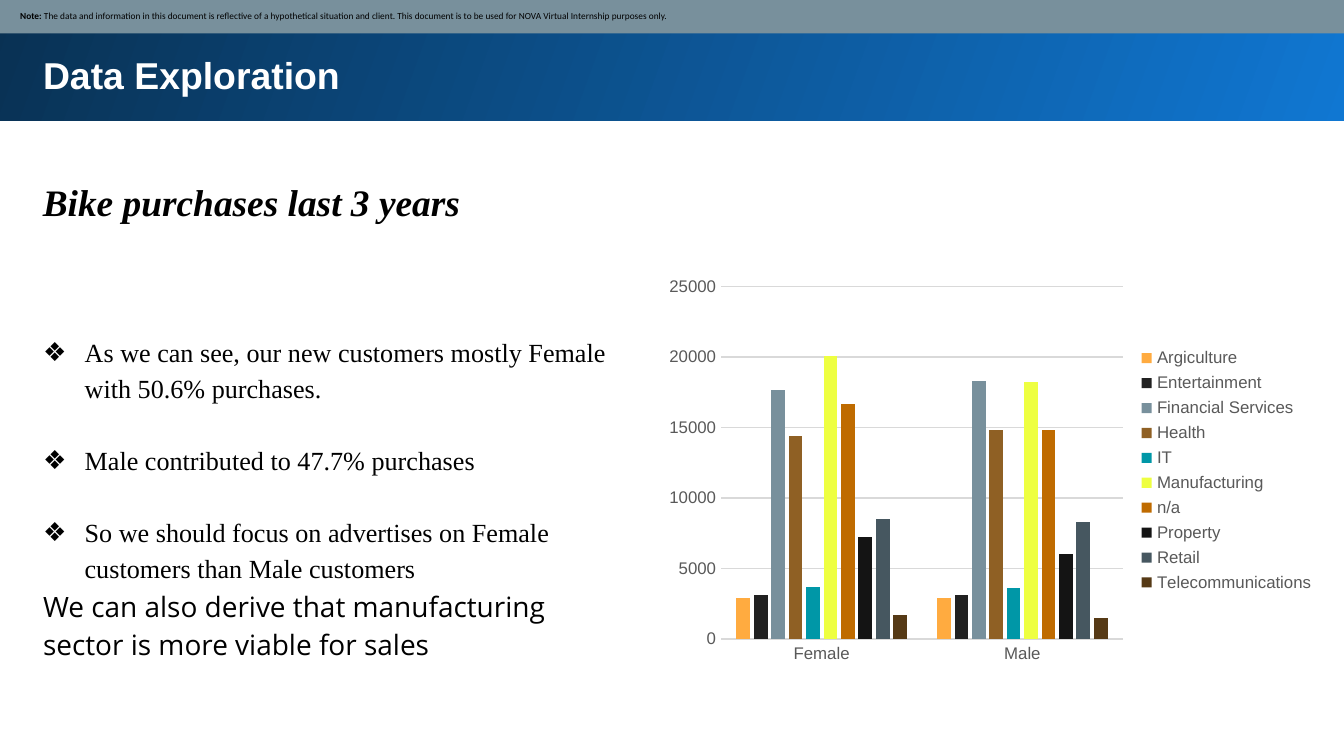
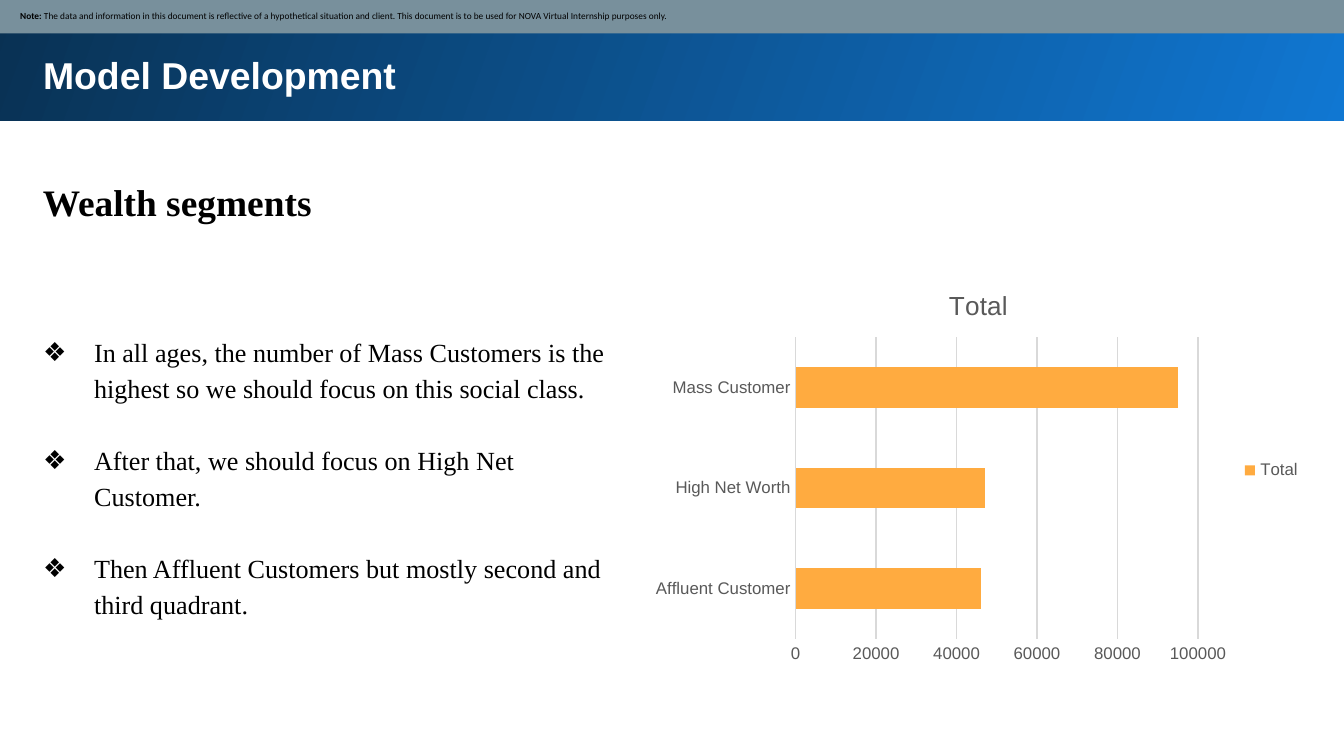
from lxml.etree import SubElement
from pptx import Presentation
from pptx.chart.data import CategoryChartData
from pptx.dml.color import RGBColor
from pptx.enum.chart import XL_CHART_TYPE as ChartType, XL_LEGEND_POSITION as LegendPosition, XL_TICK_MARK as TickMark
from pptx.enum.shapes import MSO_SHAPE as Preset
from pptx.enum.text import MSO_ANCHOR as Anchor, MSO_AUTO_SIZE as AutoSize, PP_ALIGN as Align
from pptx.oxml.ns import qn
from pptx.util import Inches, Pt

COLORS = {
    "white": "FFFFFF", "black": "000000", "note": "78909C",
    "band_light": "1077D2", "band_dark": "093153",
    "chart_text": "595959", "grid": "D9D9D9",
    "orange": "FFAB40", "charcoal": "212121", "slate": "78909C", "brown": "8F6024",
    "teal": "0097A7", "yellow": "EEFF41", "rust": "BF6B00", "ink": "141414",
    "steel": "465760", "umber": "563A16",
}

NOTE = (
    ("Note: ", True),
    ("The data and information in this document is reflective of a hypothetical situation and client. "
     "This document is to be used for NOVA Virtual Internship purposes only.", False),
)

SLIDES = [
    {
        "title": "Data Exploration",
        "heading": "Bike purchases last 3 years",
        "heading_italic": True,
        "heading_height": 0.94,
        "bullets": [
            "As we can see, our new customers mostly Female with 50.6% purchases.",
            "Male contributed to 47.7% purchases",
            "So we should focus on advertises on Female customers than Male customers",
        ],
        "indent": 0.31,
        "closing": "We can also derive that manufacturing sector is more viable for sales",
        "body_height": 2.65,
        "chart": {
            "type": ChartType.COLUMN_CLUSTERED,
            "left": 4.88,
            "title": None,
            "categories": ["Female", "Male"],
            "series": [
                ("Argiculture", (2900, 2900), "orange"),
                ("Entertainment", (3100, 3100), "charcoal"),
                ("Financial Services", (17700, 18300), "slate"),
                ("Health", (14400, 14800), "brown"),
                ("IT", (3700, 3600), "teal"),
                ("Manufacturing", (20100, 18200), "yellow"),
                ("n/a", (16700, 14800), "rust"),
                ("Property", (7200, 6000), "ink"),
                ("Retail", (8500, 8300), "steel"),
                ("Telecommunications", (1700, 1500), "umber"),
            ],
            "plot": {"gap_width": 219, "overlap": -27, "vary_by_categories": False},
            "scale": {"minimum_scale": 0, "maximum_scale": 25000, "major_unit": 5000},
            "category_line": True,
        },
    },
    {
        "title": "Model Development",
        "heading": "Wealth segments",
        "heading_italic": False,
        "heading_height": 0.56,
        "bullets": [
            "In all ages, the number of Mass Customers is the highest so we should focus on this social class.",
            "After that, we should focus on High Net Customer.",
            "Then Affluent Customers but mostly second and third quadrant.",
        ],
        "indent": 0.38,
        "closing": None,
        "body_height": 2.63,
        "chart": {
            "type": ChartType.BAR_STACKED,
            "left": 4.78,
            "title": "Total",
            "categories": ["Affluent Customer", "High Net Worth", "Mass Customer"],
            "series": [("Total", (46000, 47000, 95000), "orange")],
            "plot": {"gap_width": 150, "overlap": 100, "vary_by_categories": False},
            "scale": {"minimum_scale": 0, "maximum_scale": 100000, "major_unit": 20000},
            "category_line": False,
        },
    },
]

TITLE_FONT = {"name": "Arial", "size": Pt(20), "bold": True}
HEADING_FONT = {"name": "Times New Roman", "size": Pt(20), "bold": True}
BULLET_FONT = {"name": "Times New Roman", "size": Pt(14)}
CLOSING_FONT = {"name": "Open Sans", "size": Pt(15)}
NOTE_FONT = {"name": "Calibri", "size": Pt(5)}
CHART_FONT = {"name": "Arial", "size": Pt(9), "bold": False}
CHART_TITLE_FONT = {**CHART_FONT, "size": Pt(14)}

SLIDE_WIDTH = Inches(10)
SLIDE_HEIGHT = SLIDE_WIDTH * 9 // 16
TEXT_LEFT = 0.22
BULLET_GAP = Pt(19.3)


def rgb(name):
    return RGBColor.from_string(COLORS[name])


def set_all(target, values):
    for name, value in values.items():
        setattr(target, name, value)


def set_font(font, values, color):
    set_all(font, values)
    font.color.rgb = rgb(color)


def place(shape, left, top, width, height):
    set_all(shape, {"left": Inches(left), "top": Inches(top),
                    "width": Inches(width), "height": Inches(height)})


def prepare_frame(frame, margin=0.1, **changes):
    values = {side: Inches(margin) for side in
              ("margin_left", "margin_top", "margin_right", "margin_bottom")}
    values.update(word_wrap=True, vertical_anchor=Anchor.TOP, auto_size=AutoSize.SHAPE_TO_FIT_TEXT)
    set_all(frame, {**values, **changes})


def write(paragraph, text, font, color="black", spacing=1.15, before=Pt(0)):
    set_all(paragraph, {"alignment": Align.LEFT, "line_spacing": spacing,
                        "space_before": before, "space_after": Pt(0)})
    run = paragraph.add_run()
    run.text = text
    set_font(run.font, font, color)


def set_bullet(paragraph, indent, mark=None):
    properties = paragraph._p.get_or_add_pPr()
    properties.set("marL", str(Inches(indent)))
    properties.set("indent", str(-Inches(indent)))
    if mark:
        SubElement(properties, qn("a:buChar"), char=mark)
    else:
        SubElement(properties, qn("a:buNone"))


def add_rectangle(slide, *box):
    shape = slide.shapes.add_shape(Preset.RECTANGLE, *map(Inches, box))
    shape.shadow.inherit = False
    shape.line.fill.background()
    return shape


def add_title(slide, text):
    band = add_rectangle(slide, -0.02, -0.02, 10.05, 0.92)
    band.fill.gradient()
    band.fill.gradient_angle = 160
    for stop, color in zip(band.fill.gradient_stops, ("band_light", "band_dark")):
        stop.color.rgb = rgb(color)
    title = slide.shapes.title
    title.element.addprevious(band.element)
    place(title, TEXT_LEFT, 0.29, 9.37, 0.51)
    prepare_frame(title.text_frame)
    write(title.text_frame.paragraphs[0], text, TITLE_FONT, "white", 1.0)


def add_note(slide):
    note = add_rectangle(slide, -0.01, -0.01, 10.03, 0.26)
    note.fill.solid()
    note.fill.fore_color.rgb = rgb("note")
    prepare_frame(note.text_frame, 0.05, margin_left=Inches(0.16),
                  vertical_anchor=Anchor.MIDDLE, auto_size=AutoSize.NONE)
    for text, bold in NOTE:
        write(note.text_frame.paragraphs[0], text, {**NOTE_FONT, "bold": bold}, spacing=1.0)


def add_heading(slide, content):
    box = (TEXT_LEFT, 1.18, 9.37, content["heading_height"])
    frame = slide.shapes.add_textbox(*map(Inches, box)).text_frame
    prepare_frame(frame)
    write(frame.paragraphs[0], content["heading"],
          {**HEADING_FONT, "italic": content["heading_italic"]})


def fill_body(slide, content):
    body = slide.placeholders[1]
    place(body, TEXT_LEFT, 2.37, 4.52, content["body_height"])
    frame = body.text_frame
    prepare_frame(frame)
    for index, text in enumerate(content["bullets"]):
        paragraph = frame.add_paragraph() if index else frame.paragraphs[0]
        write(paragraph, text, BULLET_FONT, before=BULLET_GAP if index else Pt(0))
        set_bullet(paragraph, content["indent"], "❖")
    if content["closing"]:
        paragraph = frame.add_paragraph()
        write(paragraph, content["closing"], CLOSING_FONT)
        set_bullet(paragraph, 0)


def set_line(line, color):
    line.color.rgb = rgb(color)
    line.width = Pt(0.75)


def add_chart(slide, content):
    data = CategoryChartData()
    data.categories = content["categories"]
    for name, values, color in content["series"]:
        data.add_series(name, values)
    box = map(Inches, (content["left"], 2, 5, 3))
    chart = slide.shapes.add_chart(content["type"], *box, data).chart
    set_font(chart.font, {**CHART_FONT, "size": Pt(10)}, "black")

    chart.has_title = bool(content["title"])
    if content["title"]:
        frame = chart.chart_title.text_frame
        frame.text = content["title"]
        set_font(frame.paragraphs[0].runs[0].font, CHART_TITLE_FONT, "chart_text")
        chart.chart_title.include_in_layout = False

    chart.has_legend = True
    set_all(chart.legend, {"position": LegendPosition.RIGHT, "include_in_layout": False})
    set_font(chart.legend.font, CHART_FONT, "chart_text")

    for axis in (chart.category_axis, chart.value_axis):
        set_all(axis, {"major_tick_mark": TickMark.NONE, "minor_tick_mark": TickMark.NONE})
        set_font(axis.tick_labels.font, CHART_FONT, "chart_text")
        axis.format.line.fill.background()
    if content["category_line"]:
        set_line(chart.category_axis.format.line, "grid")
    set_all(chart.value_axis, {"has_major_gridlines": True, **content["scale"]})
    set_line(chart.value_axis.major_gridlines.format.line, "grid")

    plot = chart.plots[0]
    set_all(plot, content["plot"])
    for series, (name, values, color) in zip(plot.series, content["series"]):
        series.invert_if_negative = False
        series.format.fill.solid()
        series.format.fill.fore_color.rgb = rgb(color)


def main():
    presentation = Presentation()
    set_all(presentation, {"slide_width": SLIDE_WIDTH, "slide_height": SLIDE_HEIGHT})
    for content in SLIDES:
        slide = presentation.slides.add_slide(presentation.slide_layouts[1])
        add_title(slide, content["title"])
        add_heading(slide, content)
        fill_body(slide, content)
        add_note(slide)
        add_chart(slide, content["chart"])
    presentation.save("out.pptx")


if __name__ == "__main__":
    main()
